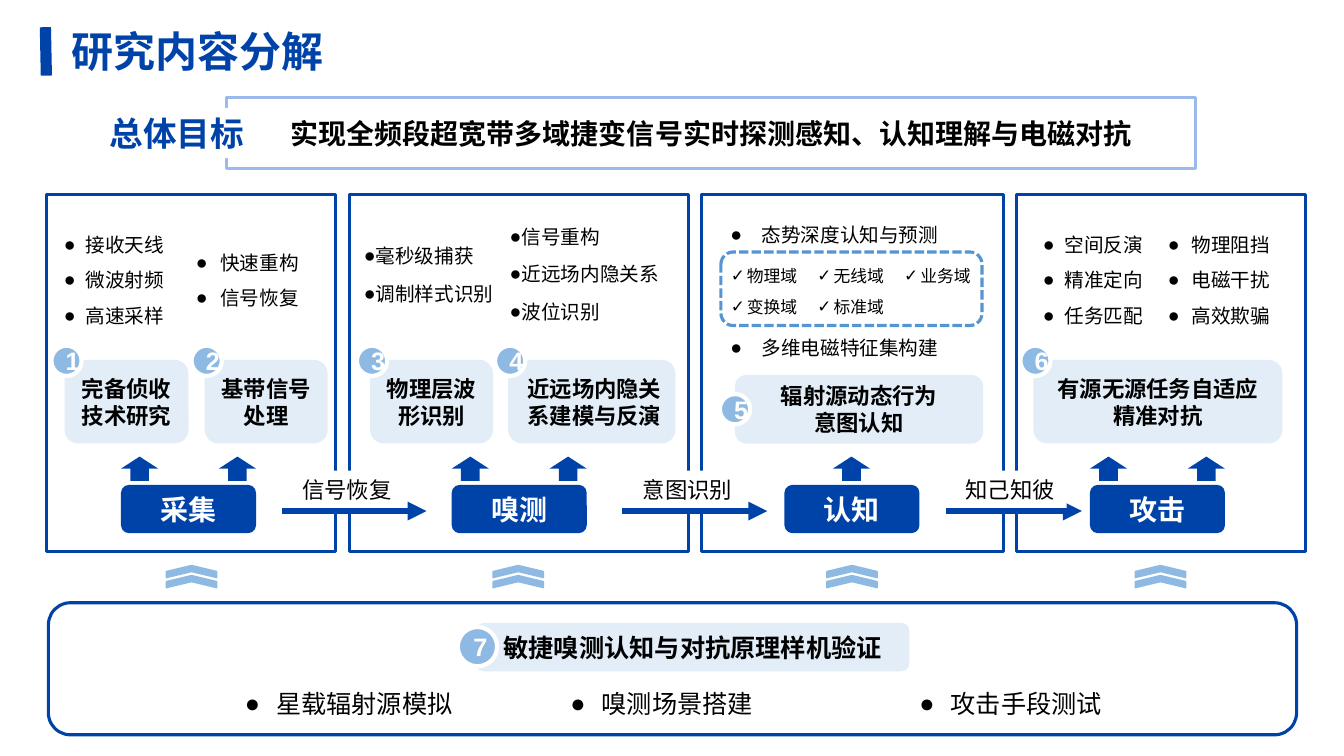
from dataclasses import dataclass

from pptx import Presentation
from pptx.dml.color import RGBColor
from pptx.enum.dml import MSO_LINE
from pptx.enum.shapes import MSO_CONNECTOR, MSO_SHAPE
from pptx.enum.text import MSO_ANCHOR, PP_ALIGN
from pptx.oxml.ns import qn
from pptx.util import Inches, Pt
from lxml import etree

RECT, ROUNDED = MSO_SHAPE.RECTANGLE, MSO_SHAPE.ROUNDED_RECTANGLE
UP_ARROW, CHEVRON = MSO_SHAPE.UP_ARROW, MSO_SHAPE.CHEVRON
CIRCLE = MSO_SHAPE.FLOWCHART_CONNECTOR
STRAIGHT, DASH = MSO_CONNECTOR.STRAIGHT, MSO_LINE.SQUARE_DOT
LEFT, CENTER, RIGHT = PP_ALIGN.LEFT, PP_ALIGN.CENTER, PP_ALIGN.RIGHT
TOP, MIDDLE = MSO_ANCHOR.TOP, MSO_ANCHOR.MIDDLE


@dataclass(frozen=True)
class Theme:
    """Colours, fonts and type sizes of the slide."""
    navy: str = "0043A8"
    sky: str = "8DB9E2"
    pale: str = "E2EDF7"
    frame: str = "9CB9EB"
    dash: str = "5495D3"
    white: str = "FFFFFF"
    black: str = "000000"
    body: str = "Noto Sans CJK SC"
    label: str = "Arial"
    title: int = 30
    goal: int = 24
    stage: int = 20
    strong: int = 18
    topic: int = 16
    item: int = 14
    small: int = 12


THEME = Theme()


def add_bullet(para, mark, margin, hang):
    """Give a paragraph a bullet mark with a hanging indent."""
    props = para._p.get_or_add_pPr()
    props.set("marL", str(Inches(margin)))
    props.set("indent", str(Inches(-hang)))
    etree.SubElement(props, qn("a:buFont")).set("typeface", THEME.label)
    etree.SubElement(props, qn("a:buChar")).set("char", mark)


def write(box, lines, size, font=THEME.label, color=THEME.black, bold=False,
          align=CENTER, anchor=MIDDLE, spacing=None, bullet=None, gap=0, wrap=True):
    """Fill a box with one paragraph per line."""
    frame = box.text_frame
    frame.word_wrap = wrap
    frame.vertical_anchor = anchor
    for index, line in enumerate(lines):
        para = frame.add_paragraph() if index else frame.paragraphs[0]
        para.alignment = align
        if spacing:
            para.line_spacing = spacing
        if index and gap:
            para.space_before = Pt(gap)
        if bullet:
            add_bullet(para, *bullet)
        span = para.add_run()
        span.text = line
        span.font.name = font
        span.font.size = Pt(size)
        span.font.bold = bold
        span.font.color.rgb = RGBColor.from_string(color)
        etree.SubElement(span._r.get_or_add_rPr(), qn("a:ea")).set("typeface", font)


def add_box(page, kind, place, fill=None, line=None, weight=2.25):
    """Add a preset shape with an optional fill and outline."""
    box = page.shapes.add_shape(kind, *map(Inches, place))
    box.shadow.inherit = False
    if fill:
        box.fill.solid()
        box.fill.fore_color.rgb = RGBColor.from_string(fill)
    else:
        box.fill.background()
    if line:
        box.line.color.rgb = RGBColor.from_string(line)
        box.line.width = Pt(weight)
    else:
        box.line.fill.background()
    return box


def add_line(page, start, end, weight, arrow=False):
    """Add a straight navy line, with an arrowhead if asked."""
    line = page.shapes.add_connector(STRAIGHT, *map(Inches, start + end))
    line.line.color.rgb = RGBColor.from_string(THEME.navy)
    line.line.width = Pt(weight)
    props = line._element.spPr
    if arrow:
        etree.SubElement(props.find(qn("a:ln")), qn("a:tailEnd")).set("type", "triangle")
    etree.SubElement(props, qn("a:effectLst"))


def add_text(page, place, lines, size, **style):
    """Add a left-aligned text box in the body font."""
    box = page.shapes.add_textbox(*map(Inches, place))
    write(box, lines, size, font=THEME.body, align=LEFT, **style)
    return box


def add_items(page, place, lines, **style):
    """Add an unfilled rounded box holding a bulleted list."""
    write(add_box(page, ROUNDED, place), lines, THEME.item, font=THEME.body, **style)


def add_topic(page, place, lines, number, badge, align=CENTER, size=THEME.topic):
    """Add a pale topic box with its numbered badge."""
    write(add_box(page, ROUNDED, place, THEME.pale), lines, size, bold=True, align=align)
    circle = add_box(page, CIRCLE, badge, THEME.sky, THEME.white, 3)
    write(circle, [number], THEME.strong, color=THEME.white, bold=True)


def add_stage(page, left, width, name, name_left, arrows):
    """Add a stage panel with its name plate and up arrows."""
    add_box(page, RECT, (left, 1.93, width, 3.54), line=THEME.navy)
    plate = add_box(page, ROUNDED, (name_left, 4.81, 1.34, 0.48), THEME.navy)
    write(plate, [name], THEME.stage, color=THEME.white, bold=True)
    for offset in arrows:
        add_box(page, UP_ARROW, (name_left + offset, 4.53, 0.37, 0.24), THEME.navy)


def add_header(page):
    """Add the title, its bar and the overall goal."""
    title = add_text(page, (0.71, 0.09, 2.59, 0.83), ["研究内容分解"], THEME.title,
                     color=THEME.navy, bold=True)
    frame = title.text_frame
    frame.margin_left = frame.margin_right = frame.margin_top = frame.margin_bottom = 0
    add_line(page, (0.45, 0.27), (0.46, 0.75), 8)
    goal = add_box(page, RECT, (2.25, 0.97, 9.61, 0.7), line=THEME.frame)
    write(goal, ["实现全频段超宽带多域捷变信号实时探测感知、认知理解与电磁对抗"],
          THEME.stage, font=THEME.body, bold=True)
    tag = add_box(page, RECT, (0.99, 1.07, 1.55, 0.5), THEME.white)
    write(tag, ["总体目标"], THEME.goal, color=THEME.navy, bold=True, align=LEFT, wrap=False)


def add_stages(page):
    """Add the four stage panels."""
    for stage in ((0.46, 2.87, "采集", 1.2, (0, 0.97)), (3.47, 3.36, "嗅测", 4.48, (0, 0.97)),
                  (6.96, 2.99, "认知", 7.78, (0.48,)), (10.08, 2.87, "攻击", 10.81, (0, 0.97))):
        add_stage(page, *stage)


def add_lists(page):
    """Add the bulleted lists of the four stages."""
    for left, width, lines in ((0.48, 1.4, ("接收天线", "微波射频", "高速采样")),
                               (1.74, 1.55, ("快速重构", "信号恢复")),
                               (10.19, 1.4, ("空间反演", "精准定向", "任务匹配")),
                               (11.43, 1.44, ("物理阻挡", "电磁干扰", "高效欺骗"))):
        add_items(page, (left, 2.14, width, 1.16), lines, spacing=1.5, bullet=("●", 0, 0.24))
    for place, lines in (((3.47, 2.24, 2.08, 0.83), ("毫秒级捕获", "调制样式识别")),
                         ((4.9, 2.07, 1.88, 1.16), ("信号重构", "近远场内隐关系", "波位识别"))):
        add_items(page, place, lines, align=LEFT, spacing=1.6, bullet=("●", 0, 0.2))
    add_items(page, (7.06, 2.01, 2.77, 1.75), ("态势深度认知与预测", "多维电磁特征集构建"),
              align=LEFT, bullet=("●", 0.31, 0.31), gap=64)
    domains = add_box(page, ROUNDED, (7.15, 2.5, 2.59, 0.73), line=THEME.dash)
    domains.line.dash_style = DASH
    for left, lines in ((7, ("物理域", "变换域")), (7.86, ("无线域", "标准域")), (8.72, ("业务域",))):
        add_text(page, (left, 2.49, 1.2, 0.71), lines, THEME.small, anchor=TOP,
                 spacing=1.5, bullet=("✓", 0.31, 0.16))


def add_topics(page):
    """Add the numbered topics one to six."""
    for number, left, width, lines, align in (
            ("1", 0.64, 1.23, ["完备侦收技术研究"], CENTER),
            ("2", 2.03, 1.22, ["基带信号处理"], CENTER),
            ("3", 3.67, 1.22, ["物理层波形识别"], CENTER),
            ("4", 5.04, 1.66, ["近远场内隐关系建模与反演"], RIGHT),
            ("6", 10.25, 2.47, ["有源无源任务自适应", "精准对抗"], CENTER)):
        add_topic(page, (left, 3.57, width, 0.83), lines, number,
                  (left - 0.13, 3.43, 0.3, 0.3), align)
    add_topic(page, (7.29, 3.72, 2.46, 0.68), ["辐射源动态行为", "意图认知"], "5",
              (7.14, 3.91, 0.3, 0.3))


def add_links(page):
    """Add the labelled arrows between neighbouring stages."""
    for start, end, left, width, name in ((2.8, 4.23, 2.85, 1.18, "信号恢复"),
                                          (6.17, 7.61, 6.26, 1.12, "意图识别"),
                                          (9.38, 10.73, 9.46, 1.12, "知己知彼")):
        add_line(page, (start, 5.07), (end, 5.07), 4.5, arrow=True)
        write(add_box(page, RECT, (left, 4.67, width, 0.37), THEME.white), [name], THEME.topic)


def add_foundation(page):
    """Add the prototype panel and the chevrons above it."""
    add_box(page, ROUNDED, (0.48, 5.98, 12.38, 1.31), line=THEME.navy)
    for left, name in ((2.33, "星载辐射源模拟"), (5.56, "嗅测场景搭建"), (9.02, "攻击手段测试")):
        add_text(page, (left, 6.78, 2.51, 0.4), [name], THEME.strong, bullet=("●", 0.31, 0.31))
    add_topic(page, (4.72, 6.18, 4.3, 0.48), ["敏捷嗅测认知与对抗原理样机验证"], "7",
              (4.54, 6.22, 0.39, 0.39), size=THEME.strong)
    for left in (1.84, 5.08, 8.39, 11.45):
        for top in (5.42, 5.52):
            add_box(page, CHEVRON, (left, top, 0.12, 0.5), THEME.sky, THEME.sky, 1).rotation = 270


def main():
    """Build the slide and save the deck."""
    deck = Presentation()
    deck.slide_width, deck.slide_height = Inches(13.33), Inches(7.5)
    page = deck.slides.add_slide(deck.slide_layouts[6])
    for add_part in (add_header, add_stages, add_lists, add_topics, add_links, add_foundation):
        add_part(page)
    deck.save("out.pptx")


if __name__ == "__main__":
    main()
